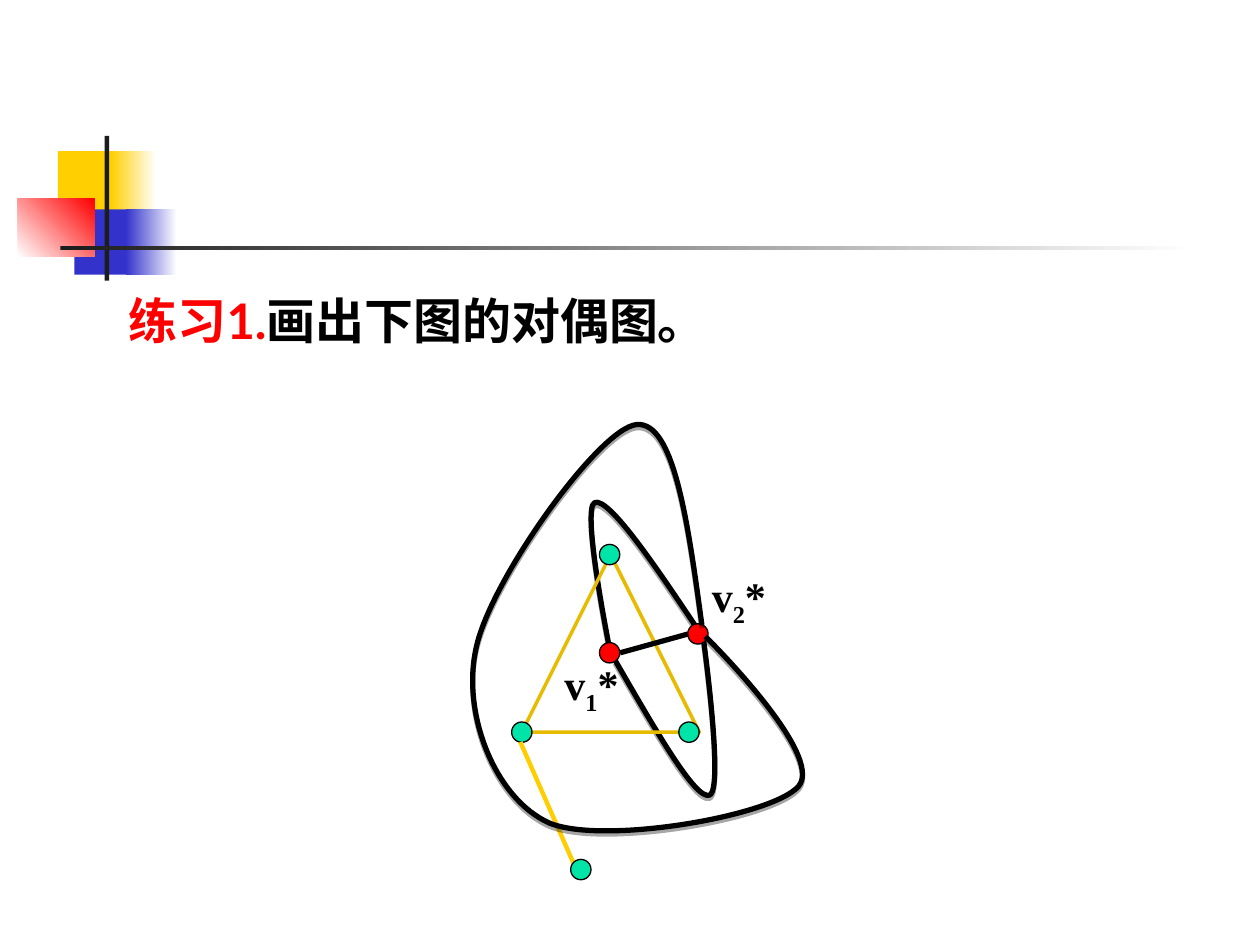
from lxml import etree
from pptx import Presentation
from pptx.dml.color import RGBColor
from pptx.enum.shapes import MSO_CONNECTOR, MSO_SHAPE
from pptx.enum.text import MSO_ANCHOR, MSO_AUTO_SIZE, PP_ALIGN
from pptx.oxml.ns import qn
from pptx.util import Cm, Pt

RECT, OVAL, TRIANGLE = MSO_SHAPE.RECTANGLE, MSO_SHAPE.OVAL, MSO_SHAPE.ISOSCELES_TRIANGLE
STRAIGHT = MSO_CONNECTOR.STRAIGHT
TITLE_ONLY = 5
NODE = 0.41  # node diameter, cm

COLORS = {
    "black": "000000", "white": "FFFFFF", "red": "FF0000", "green": "00E4A8",
    "yellow": "FFCF01", "blue": "3333CC", "ink": "1C1C1C",
    "edge": "E7BB01", "pendant": "FFCE00",
}
HEADING = {"size": Pt(28), "bold": True, "name": "Lato"}
LABEL = {"size": Pt(24), "bold": True, "name": "Times New Roman"}

# Bars of the corner ornament: box, colours, gradient angle
ORNAMENT = [
    ((1.17, 3.05, 1.22, 1.32), ["yellow"], 0),
    ((2.24, 3.05, 0.91, 1.32), ["yellow", "white"], 0),
    ((1.5, 4.22, 1.17, 1.32), ["blue"], 0),
    ((2.54, 4.22, 1.02, 1.32), ["blue", "white"], 0),
    ((0.36, 4.01, 1.55, 1.17), ["white", "red"], 45),
    ((2.11, 2.74, 0.09, 2.92), ["ink"], 0),
    ((1.22, 4.95, 22.86, 0.09), ["ink", "white"], 0),
]
# Dual edges: a start point, then three Bézier points per curve
UPPER_LOOP = [(14.02, 12.62), (13.16, 11.33), (12.27, 10.03), (11.99, 10.13),
              (11.71, 10.24), (12.32, 13.23), (12.32, 13.23)]
LOWER_LOOP = [(12.4, 13.31), (13.21, 14.71), (14.02, 16.13), (14.3, 16.03),
              (14.61, 15.95), (14.17, 12.8), (14.17, 12.8)]
OUTER_LOOP = [(14.15, 12.6), (13.87, 10.54), (13.59, 8.48), (12.83, 8.56),
              (12.07, 8.64), (9.88, 11.71), (9.6, 13.06), (9.3, 14.38),
              (9.98, 16.1), (11.07, 16.59), (12.14, 17.04), (15.57, 16.46),
              (16.1, 15.85), (16.64, 15.21), (14.22, 12.83), (14.22, 12.83)]


def rgb(name):
    return RGBColor.from_string(COLORS[name])


def set_line(shape, color, width):
    shape.line.color.rgb = rgb(color)
    shape.line.width = Pt(width)


def add_shape(s, kind, box):
    sp = s.shapes.add_shape(kind, *map(Cm, box))
    sp.shadow.inherit = False
    return sp


def add_bar(s, box, colors, angle):
    sp = add_shape(s, RECT, box)
    sp.line.fill.background()
    if len(colors) == 1:
        sp.fill.solid()
        sp.fill.fore_color.rgb = rgb(colors[0])
        return
    sp.fill.gradient()
    sp.fill.gradient_angle = angle
    for stop, color in zip(sp.fill.gradient_stops, colors):
        stop.color.rgb = rgb(color)


def add_node(s, x, y, color):
    sp = add_shape(s, OVAL, (x - NODE / 2, y - NODE / 2, NODE, NODE))
    sp.fill.solid()
    sp.fill.fore_color.rgb = rgb(color)
    set_line(sp, "black", 0.75)


def add_edge(s, start, end, color, width):
    line = s.shapes.add_connector(STRAIGHT, *map(Cm, start + end))
    set_line(line, color, width)
    etree.SubElement(line._element.spPr, qn("a:effectLst"))


def add_curve(s, points):
    start, *rest = [(Cm(x), Cm(y)) for x, y in points]
    builder = s.shapes.build_freeform(*start)
    builder.add_line_segments(rest, close=False)
    sp = builder.convert_to_shape()
    sp.fill.background()
    set_line(sp, "black", 3)
    # Join each three line segments into one cubic curve
    path = next(sp._element.iter(qn("a:path")))
    segments = path.findall(qn("a:lnTo"))
    for i in range(0, len(segments), 3):
        curve = etree.SubElement(path, qn("a:cubicBezTo"))
        for segment in segments[i:i + 3]:
            curve.append(segment[0])
            path.remove(segment)
    # Hard shadow just below the line
    sp.shadow.inherit = False
    effects = sp._element.spPr.find(qn("a:effectLst"))
    shadow = etree.SubElement(effects, qn("a:outerShdw"), dist=str(Pt(1.8)),
                              dir="5400000", rotWithShape="0")
    color = etree.SubElement(shadow, qn("a:srgbClr"), val=COLORS["black"])
    etree.SubElement(color, qn("a:alpha"), val="35000")


def add_run(p, text, color, fmt):
    r = p.add_run()
    r.text = text
    for key, value in fmt.items():
        setattr(r.font, key, value)
    r.font.color.rgb = rgb(color)
    return r


def add_label(s, x, y, index):
    tf = s.shapes.add_textbox(Cm(x), Cm(y), Cm(1.6), Cm(1.42)).text_frame
    tf.word_wrap = False
    tf.auto_size = MSO_AUTO_SIZE.SHAPE_TO_FIT_TEXT
    p = tf.paragraphs[0]
    add_run(p, "v", "black", LABEL)
    r = add_run(p, index, "black", LABEL)
    r._r.get_or_add_rPr().set("baseline", "-25000")
    add_run(p, "*", "black", LABEL)


def set_title(s):
    title = s.shapes.title
    title.left, title.top, title.width, title.height = map(Cm, (2.34, 5.72, 20.12, 1.45))
    tf = title.text_frame
    tf.word_wrap = True
    tf.auto_size = MSO_AUTO_SIZE.NONE
    tf.vertical_anchor = MSO_ANCHOR.TOP
    p = tf.paragraphs[0]
    p.alignment = PP_ALIGN.LEFT
    add_run(p, "练习1.", "red", HEADING)
    add_run(p, "画出下图的对偶图。", "black", HEADING)


def main():
    prs = Presentation()
    prs.slide_width, prs.slide_height = Cm(25.4), Cm(19.05)
    s = prs.slides.add_slide(prs.slide_layouts[TITLE_ONLY])
    set_title(s)
    for bar in ORNAMENT:
        add_bar(s, *bar)

    # Inner dual edges and the triangle of the graph
    add_curve(s, UPPER_LOOP)
    add_curve(s, LOWER_LOOP)
    triangle = add_shape(s, TRIANGLE, (10.52, 11.18, 3.58, 3.58))
    triangle.fill.background()
    set_line(triangle, "edge", 2)
    for x, y in [(12.29, 11.18), (10.52, 14.76), (13.89, 14.76)]:
        add_node(s, x, y, "green")

    # Dual vertices with their labels
    add_label(s, 11.13, 13.16, "1")
    add_label(s, 14.1, 11.38, "2")
    for x, y in [(12.29, 13.16), (14.07, 12.78)]:
        add_node(s, x, y, "red")
    add_edge(s, (12.5, 13.16), (13.87, 12.78), "black", 3)

    # Pendant edge and the dual edge around it
    add_edge(s, (10.49, 14.96), (11.56, 17.4), "pendant", 2.5)
    add_curve(s, OUTER_LOOP)
    add_node(s, 11.71, 17.53, "green")
    prs.save("out.pptx")


if __name__ == "__main__":
    main()
